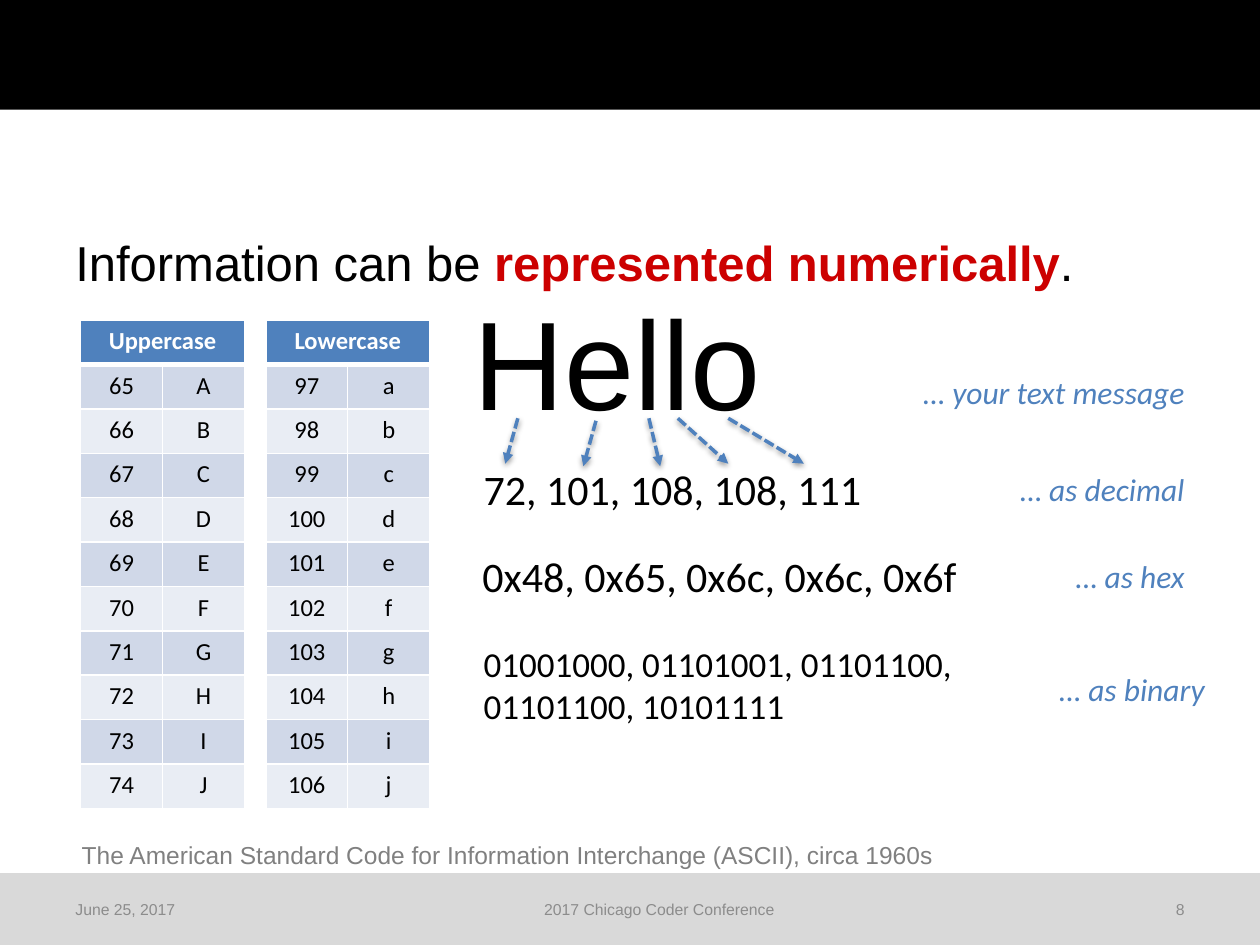
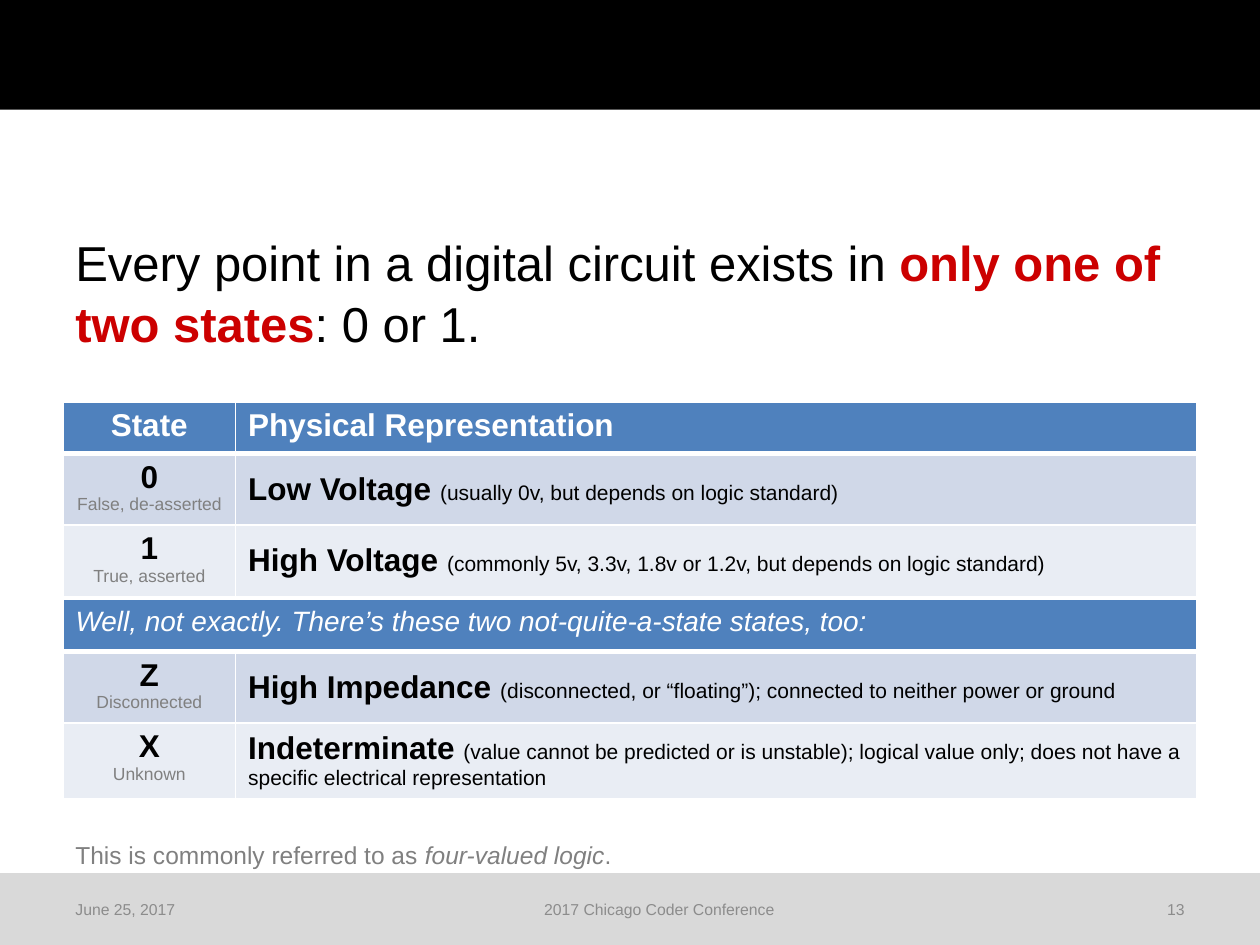
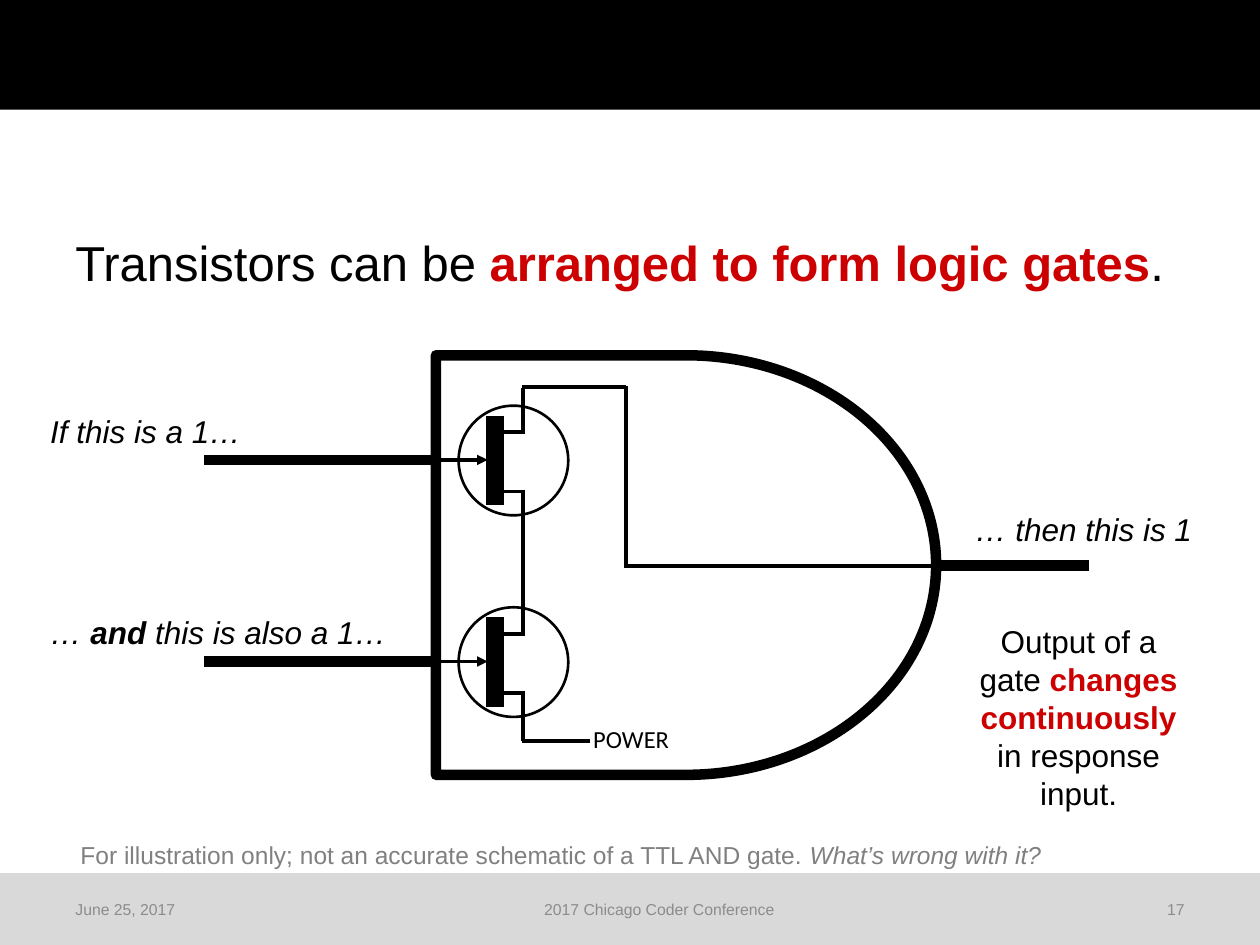
from dataclasses import dataclass, field

from lxml import etree
from pptx import Presentation
from pptx import util as u
from pptx.dml.color import RGBColor
from pptx.enum import dml, shapes, text
from pptx.oxml.ns import qn

PX = 9144  # EMU per px, 100 px to the inch

LEFT, CENTER, RIGHT = text.PP_ALIGN.LEFT, text.PP_ALIGN.CENTER, text.PP_ALIGN.RIGHT
TOP, MIDDLE = text.MSO_ANCHOR.TOP, text.MSO_ANCHOR.MIDDLE
BLACK, WHITE, RED, BLUE, GREY = "000000", "FFFFFF", "CC0000", "4F81BD", "808080"


@dataclass
class Theme:
    """Colours, and type styles as (font, size, colour, marks)."""
    header: str = BLACK
    footer: str = "D9D9D9"
    ink: str = BLACK
    accent: str = BLUE
    grid: str = WHITE
    stripes: tuple = ("D0D8E8", "E9EDF4")
    type: dict = field(default_factory=lambda: {
        "title": ("Arial", 28, BLACK, ""),
        "title key": ("Arial", 28, RED, "b"),
        "footer": ("Arial", 9, "8C8C8C", ""),
        "note": ("Arial", 14, GREY, ""),
        "note em": ("Arial", 14, GREY, "i"),
        "body": ("Arial", 18, BLACK, ""),
        "body em": ("Arial", 18, BLACK, "i"),
        "body strong em": ("Arial", 18, BLACK, "bi"),
        "body key": ("Arial", 18, RED, "b"),
        "word": ("Arial", 72, BLACK, ""),
        "codes": ("Calibri", 24, BLACK, ""),
        "bits": ("Calibri", 20, BLACK, ""),
        "caption": ("Calibri", 18, BLUE, "i"),
        "label": ("Calibri", 14, BLACK, ""),
        "code head": ("Calibri", 14, WHITE, "b"),
        "state head": ("Arial", 18, WHITE, "b"),
        "aside head": ("Arial", 16, WHITE, "i"),
        "state": ("Arial", 18, BLACK, "b"),
        "state sub": ("Arial", 10, GREY, ""),
        "detail": ("Arial", 12, BLACK, ""),
    })


class Deck:
    def __init__(self, theme):
        self.theme = theme
        self.prs = Presentation()
        self.prs.slide_width, self.prs.slide_height = 1000 * PX, 750 * PX
        self.slide = None

    def new_slide(self, number, title):
        """Start a slide with its bands, title and footer."""
        self.slide = self.prs.slides.add_slide(self.prs.slide_layouts[6])
        rect = shapes.MSO_SHAPE.RECTANGLE
        self.shape(rect, 0, 693, 1000, 57, fill=self.theme.footer)
        self.shape(rect, 0, 0, 1000, 87, fill=self.theme.header)
        tf = self.text(50, 177, 900, 493, [title])
        tf.paragraphs[0].line_spacing = 1.05
        for x, w, label, align in ((50, 122, "June 25, 2017", LEFT),
                                   (172, 706, "2017 Chicago Coder Conference ", CENTER),
                                   (878, 72, str(number), RIGHT)):
            self.text(x, 702, w, 40, [[(label, "footer")]], align, anchor=MIDDLE)

    def fill_text(self, tf, paragraphs, align=LEFT):
        """Write paragraphs, each a list of (text, style) runs."""
        for i, runs in enumerate(paragraphs):
            p = tf.add_paragraph() if i else tf.paragraphs[0]
            p.alignment = align
            for content, style in runs:
                r = p.add_run()
                r.text = content
                name, size, color, marks = self.theme.type[style]
                r.font.name, r.font.size = name, u.Pt(size)
                r.font.bold, r.font.italic = "b" in marks, "i" in marks
                r.font.color.rgb = RGBColor.from_string(color)

    def text(self, x, y, w, h, paragraphs, align=LEFT, wrap=True, anchor=TOP):
        sp = self.slide.shapes.add_textbox(x * PX, y * PX, w * PX, h * PX)
        tf = sp.text_frame
        tf.word_wrap = wrap
        tf.vertical_anchor = anchor
        self.fill_text(tf, paragraphs, align)
        return tf

    def shape(self, kind, x, y, w, h, fill=None, line=0):
        sp = self.slide.shapes.add_shape(kind, x * PX, y * PX, w * PX, h * PX)
        sp.shadow.inherit = False
        if fill:
            sp.fill.solid()
            sp.fill.fore_color.rgb = RGBColor.from_string(fill)
        else:
            sp.fill.background()
        if line:
            sp.line.color.rgb = RGBColor.from_string(self.theme.ink)
            sp.line.width = u.Pt(line)
        else:
            sp.line.fill.background()

    def line(self, x1, y1, x2, y2, width, color=None, arrow=False, dashed=False, shadow=False):
        cx = self.slide.shapes.add_connector(
            shapes.MSO_CONNECTOR.STRAIGHT, x1 * PX, y1 * PX, x2 * PX, y2 * PX)
        cx.line.color.rgb = RGBColor.from_string(color or self.theme.ink)
        cx.line.width = u.Pt(width)
        if dashed:
            cx.line.dash_style = dml.MSO_LINE.SQUARE_DOT
        sp_pr = cx.line._get_or_add_ln().getparent()
        if arrow:
            etree.SubElement(sp_pr.find(qn("a:ln")), qn("a:tailEnd"), type="triangle")
        effects = etree.SubElement(sp_pr, qn("a:effectLst"))
        if shadow:
            outer = etree.SubElement(effects, qn("a:outerShdw"), blurRad="40000",
                                     dist="20000", dir="5400000", rotWithShape="0")
            clr = etree.SubElement(outer, qn("a:srgbClr"), val=BLACK)
            etree.SubElement(clr, qn("a:alpha"), val="38000")

    def cell(self, cell, paragraphs, fill, align, anchor, bottom):
        tc_pr = cell._tc.get_or_add_tcPr()
        for side, width in (("L", 1), ("R", 1), ("T", 1), ("B", bottom)):
            ln = etree.SubElement(tc_pr, qn(f"a:ln{side}"), w=str(u.Pt(width)))
            solid = etree.SubElement(ln, qn("a:solidFill"))
            etree.SubElement(solid, qn("a:srgbClr"), val=self.theme.grid)
        cell.fill.solid()
        cell.fill.fore_color.rgb = RGBColor.from_string(fill)
        cell.vertical_anchor = anchor
        self.fill_text(cell.text_frame, paragraphs, align)

    def table(self, x, y, h, widths, head, rows, aligns, anchors, head_align=None):
        """Draw a banded table; a head of one cell spans every column."""
        n = len(rows) + 1
        tbl = self.slide.shapes.add_table(
            n, len(widths), x * PX, y * PX, sum(widths) * PX, h * PX).table
        for col, w in zip(tbl.columns, widths):
            col.width = w * PX
        for row in tbl.rows:
            row.height = h * PX // n
        if len(head) == 1:
            tbl.cell(0, 0).merge(tbl.cell(0, len(widths) - 1))
        for c, run in enumerate(head):
            self.cell(tbl.cell(0, c), [[run]], self.theme.accent,
                      head_align or aligns[c], TOP, 3)
        for i, row in enumerate(rows):
            for c, paragraphs in enumerate(row):
                self.cell(tbl.cell(i + 1, c), paragraphs, self.theme.stripes[i % 2],
                          aligns[c], anchors[c], 1)


def ascii_slide(d):
    d.new_slide(8, [("Information can be ", "title"),
                    ("represented numerically", "title key"), (".", "title")])

    # Code tables
    for x, name, first in ((64, "Uppercase", "A"), (211, "Lowercase", "a")):
        codes = range(ord(first), ord(first) + 10)
        rows = [[[[(str(n), "label")]], [[(chr(n), "label")]]] for n in codes]
        d.table(x, 254, 388, (65, 65), [(name, "code head")], rows,
                (CENTER, CENTER), (TOP, TOP))

    # The word and its encodings
    for x, y, w, h, style, lines in (
            (366, 221, 250, 131, "word", ["Hello"]),
            (374, 363, 323, 50, "codes", ["72, 101, 108, 108, 111"]),
            (373, 432, 401, 50, "codes", ["0x48, 0x65, 0x6c, 0x6c, 0x6f"]),
            (374, 505, 395, 77, "bits",
             ["01001000, 01101001, 01101100,", "01101100, 10101111"])):
        d.text(x, y, w, h, [[(line, style)] for line in lines], wrap=False)
    for x, y, caption in ((703, 291, "… your text message"), (703, 368, "… as decimal"),
                          (703, 437, "… as hex"), (719, 527, "… as binary")):
        d.text(x, y, 247, 40, [[(caption, "caption")]], RIGHT)

    # Arrows from letters to numbers
    for x1, y1, x2, y2 in ((411, 332, 401, 368), (473, 334, 463, 370), (515, 332, 524, 370),
                           (538, 332, 578, 368), (578, 332, 638, 368)):
        d.line(x1, y1, x2, y2, 2, d.theme.accent, arrow=True, dashed=True, shadow=True)

    d.text(55, 662, 699, 34, [[("The American Standard Code for Information Interchange "
                                "(ASCII), circa 1960s", "note")]], wrap=False)


def states_slide(d):
    d.new_slide(13, [("Every point in a digital circuit exists in ", "title"),
                     ("only one of two states", "title key"), (": 0 or 1.", "title")])

    # State tables
    tables = (
        (319, [("State", "state head"), ("Physical Representation", "state head")], None, (
            ("0", "False, de-asserted", "Low Voltage ",
             "(usually 0v, but depends on logic standard)"),
            ("1", "True, asserted", "High Voltage ",
             "(commonly 5v, 3.3v, 1.8v or 1.2v, but depends on logic standard)"))),
        (476, [("Well, not exactly. There’s these two not-quite-a-state states, too:",
                "aside head")], LEFT, (
            ("Z", "Disconnected", "High Impedance ",
             "(disconnected, or “floating”); connected to neither power or ground"),
            ("X", "Unknown", "Indeterminate ",
             "(value cannot be predicted or is unstable); logical value only; "
             "does not have a specific electrical representation"))),
    )
    for y, head, head_align, states in tables:
        rows = [[[[(state, "state")], [(sub, "state sub")]],
                 [[(name, "state"), (detail, "detail")]]]
                for state, sub, name, detail in states]
        d.table(50, y, 123, (137, 763), head, rows, (CENTER, LEFT), (TOP, MIDDLE), head_align)

    d.text(50, 662, 900, 34, [[("This is commonly referred to as ", "note"),
                               ("four-valued logic", "note em"), (".", "note")]])


def transistor(d, y):
    """Draw a transistor whose base input is at height y."""
    d.shape(shapes.MSO_SHAPE.OVAL, 364, y - 43, 87, 87, fill=WHITE, line=1.5)
    d.line(393, y - 35, 393, y + 36, 10)
    for dy in (-22, 25):
        d.line(396, y + dy, 417, y + dy, 2)
    d.line(341, y, 387, y, 2, arrow=True)
    d.line(415, y - 57, 415, y - 21, 2)
    d.line(415, y + 25, 415, y + 63, 2)


def gate_slide(d):
    d.new_slide(17, [("Transistors can be ", "title"),
                     ("arranged to form logic gates", "title key"), (".", "title")])
    inputs = (365, 525)
    output = 449

    # Gate outline and leads
    for y in inputs:
        d.line(162, y, 348, y, 6)
    d.line(745, output, 864, output, 6)
    d.shape(shapes.MSO_SHAPE.FLOWCHART_DELAY, 346, 282, 397, 333, line=6)
    d.text(461, 570, 81, 34, [[("POWER", "label")]], wrap=False)

    # Inner wiring
    for wire in ((414, 307, 497, 307), (414, 588, 468, 588), (497, 306, 497, output),
                 (495, output, 774, output), (415, 468, 415, 426)):
        d.line(*wire, 2.25)

    # Captions
    d.text(762, 489, 188, 162, [[("Output of a gate ", "body"),
                                 ("changes continuously ", "body key"),
                                 ("in response input.", "body")]], CENTER)
    d.text(30, 322, 293, 40, [[("If this is a 1…", "body em")]])
    d.text(30, 482, 297, 40, [[("… ", "body em"), ("and", "body strong em"),
                               (" this is also a 1…", "body em")]])
    d.text(764, 400, 195, 40, [[("… then this is 1", "body em")]])

    for y in inputs:
        transistor(d, y)

    d.text(54, 662, 811, 34, [[
        ("For illustration only; not an accurate schematic of a TTL AND gate. ", "note"),
        ("What’s wrong with it?", "note em")]], wrap=False)


def main():
    d = Deck(Theme())
    ascii_slide(d)
    states_slide(d)
    gate_slide(d)
    d.prs.save("out.pptx")


if __name__ == "__main__":
    main()
